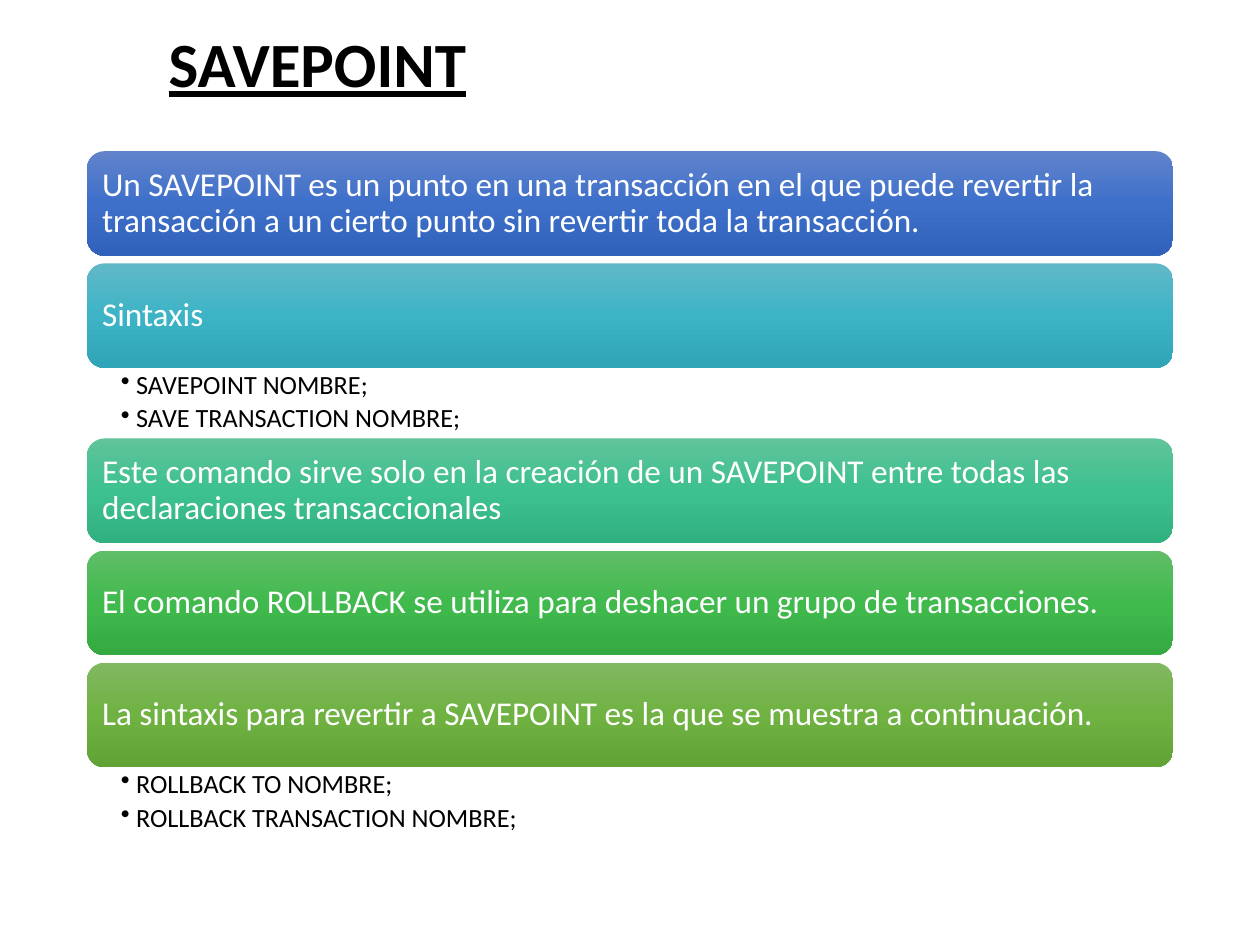
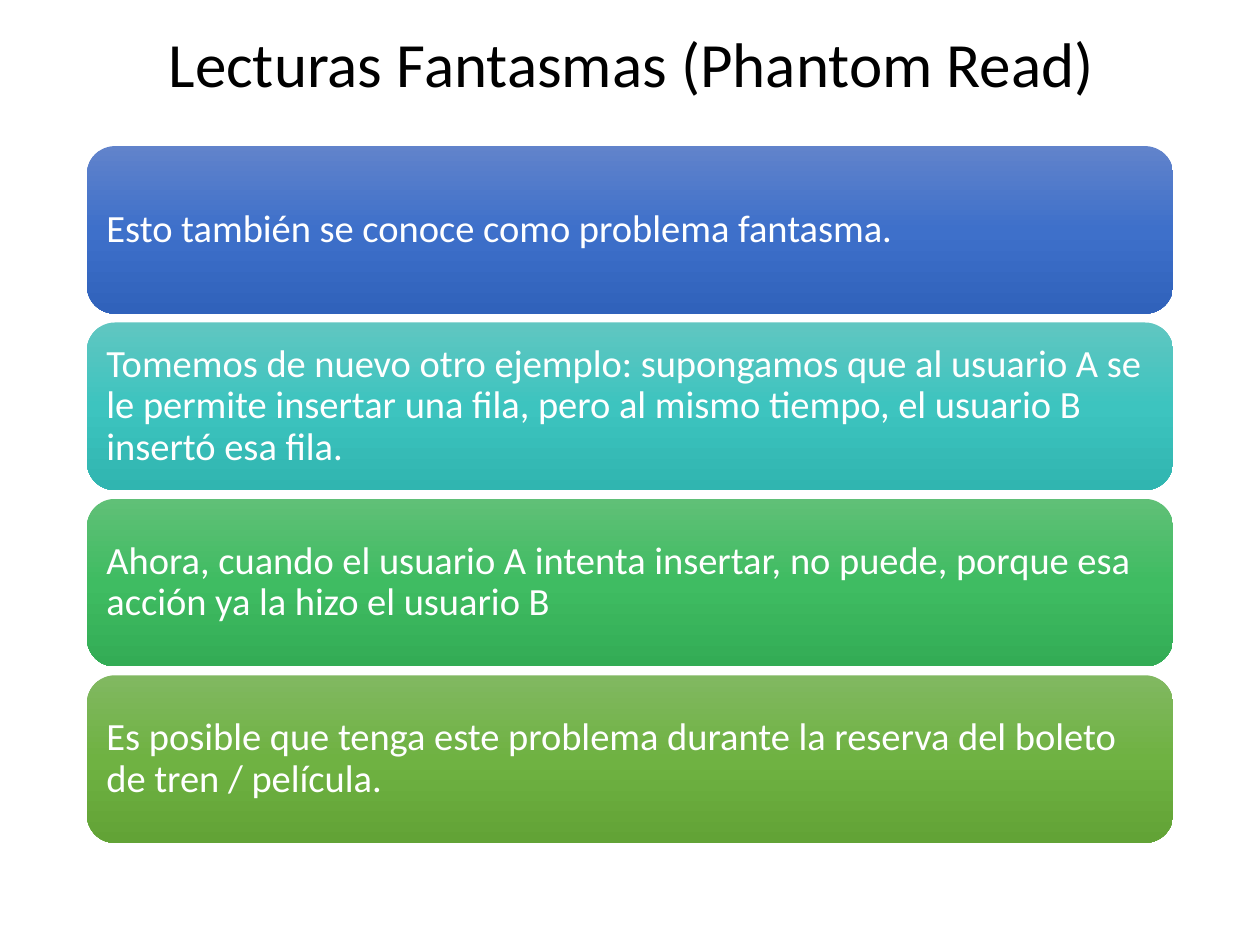
from copy import deepcopy

from lxml.etree import SubElement
from pptx import Presentation
from pptx.dml.color import RGBColor
from pptx.enum.shapes import MSO_SHAPE
from pptx.enum.text import MSO_ANCHOR, PP_ALIGN
from pptx.oxml.ns import qn
from pptx.util import Pt

EMU_PER_PX = 9144
FONT = "Calibri"
COLORS = {"text": "000000", "bar_text": "FFFFFF"}
GRADIENTS = {
    "blue": ("6183CB", "3E70CA", "3062BB"),
    "cyan": ("61B8C7", "3DB4C6", "30A5B7"),
    "turquoise": ("60C6C1", "3DC4BF", "30B5B0"),
    "mint": ("60C39A", "3DC18F", "31B080"),
    "emerald": ("60C077", "3FBC62", "33AC55"),
    "green": ("60BE68", "40B94D", "34AA41"),
    "olive": ("81B861", "6FB242", "62A336"),
}
BAR_LEFT, BAR_WIDTH = 69, 862
BULLETS_HEIGHT = 56

SAVEPOINT_BARS = [
    ("blue", "Un SAVEPOINT es un punto en una transacción en el que puede revertir la "
             "transacción a un cierto punto sin revertir toda la transacción.", []),
    ("cyan", "Sintaxis", ["SAVEPOINT NOMBRE;", "SAVE TRANSACTION NOMBRE;"]),
    ("mint", "Este comando sirve solo en la creación de un SAVEPOINT entre todas las "
             "declaraciones transaccionales", []),
    ("green", "El comando ROLLBACK se utiliza para deshacer un grupo de transacciones.", []),
    ("olive", "La sintaxis para revertir a SAVEPOINT es la que se muestra a continuación.",
     ["ROLLBACK TO NOMBRE;", "ROLLBACK TRANSACTION NOMBRE;"]),
]
PHANTOM_BARS = [
    ("blue", "Esto también se conoce como problema fantasma.", []),
    ("turquoise", "Tomemos de nuevo otro ejemplo: supongamos que al usuario A se le permite "
                  "insertar una fila, pero al mismo tiempo, el usuario B insertó esa fila.", []),
    ("emerald", "Ahora, cuando el usuario A intenta insertar, no puede, porque esa acción "
                "ya la hizo el usuario B", []),
    ("olive", "Es posible que tenga este problema durante la reserva del boleto de tren / "
              "película.", []),
]


def px(length):
    return length * EMU_PER_PX


class Deck:
    def __init__(self):
        self.presentation = Presentation()
        self.presentation.slide_width = px(1000)
        self.presentation.slide_height = px(750)
        self.slide = None

    def add_slide(self):
        self.slide = self.presentation.slides.add_slide(self.presentation.slide_layouts[6])

    def set_text(self, shape, lines, size, color, insets, anchor):
        frame = shape.text_frame
        frame.word_wrap = True
        frame.vertical_anchor = anchor
        frame.margin_left, frame.margin_top, frame.margin_right, frame.margin_bottom = map(px, insets)
        frame.text = "\n".join(lines)
        for paragraph in frame.paragraphs:
            paragraph.alignment = PP_ALIGN.LEFT
            paragraph.line_spacing = 0.9
            paragraph.font.name = FONT
            paragraph.font.size = Pt(size)
            paragraph.font.color.rgb = RGBColor.from_string(COLORS[color])
        return frame.paragraphs

    def text_box(self, left, top, width, height):
        return self.slide.shapes.add_textbox(px(left), px(top), px(width), px(height))

    def title(self, text, emphasized=False):
        shape = self.text_box(124, 23, 780, 61)
        paragraph = self.set_text(shape, [text], 36, "text", (10, 5, 10, 5), MSO_ANCHOR.MIDDLE)[0]
        if emphasized:
            paragraph.font.bold = True
            paragraph.font.underline = True

    def bar(self, text, gradient, top, height, size, inset):
        shape = self.slide.shapes.add_shape(
            MSO_SHAPE.ROUNDED_RECTANGLE, px(BAR_LEFT), px(top), px(BAR_WIDTH), px(height))
        shape.shadow.inherit = False
        shape.line.fill.background()
        shape.fill.gradient()
        shape.fill.gradient_angle = 270
        stop_list = shape.element.spPr.find(qn("a:gradFill")).find(qn("a:gsLst"))
        stop_list.append(deepcopy(stop_list[0]))
        for index, (stop, color) in enumerate(zip(shape.fill.gradient_stops, GRADIENTS[gradient])):
            stop.position = index / 2
            stop.color.rgb = RGBColor.from_string(color)
        self.set_text(shape, [text], size, "bar_text", (inset,) * 4, MSO_ANCHOR.MIDDLE)

    def bullets(self, lines, top):
        shape = self.text_box(BAR_LEFT, top, BAR_WIDTH, BULLETS_HEIGHT)
        for paragraph in self.set_text(shape, lines, 15, "text", (27, 3, 15, 3), MSO_ANCHOR.TOP):
            paragraph.space_after = Pt(3)
            properties = paragraph._p.get_or_add_pPr()
            properties.set("marL", str(px(12)))
            properties.set("indent", str(px(-12)))
            bullet = SubElement(properties, qn("a:buChar"), char="•")
            properties.find(qn("a:defRPr")).addprevious(bullet)

    def bar_stack(self, bars, top, height, gap, size, inset):
        for gradient, text, bullet_lines in bars:
            self.bar(text, gradient, top, height, size, inset)
            top += height
            if bullet_lines:
                self.bullets(bullet_lines, top)
                top += BULLETS_HEIGHT
            else:
                top += gap


def main():
    deck = Deck()
    deck.add_slide()
    deck.title("SAVEPOINT", emphasized=True)
    deck.bar_stack(SAVEPOINT_BARS, top=120, height=83, gap=6, size=19, inset=8)
    deck.add_slide()
    deck.title("Lecturas Fantasmas (Phantom Read)")
    deck.bar_stack(PHANTOM_BARS, top=116, height=133, gap=7, size=22, inset=9)
    deck.presentation.save("out.pptx")


if __name__ == "__main__":
    main()
